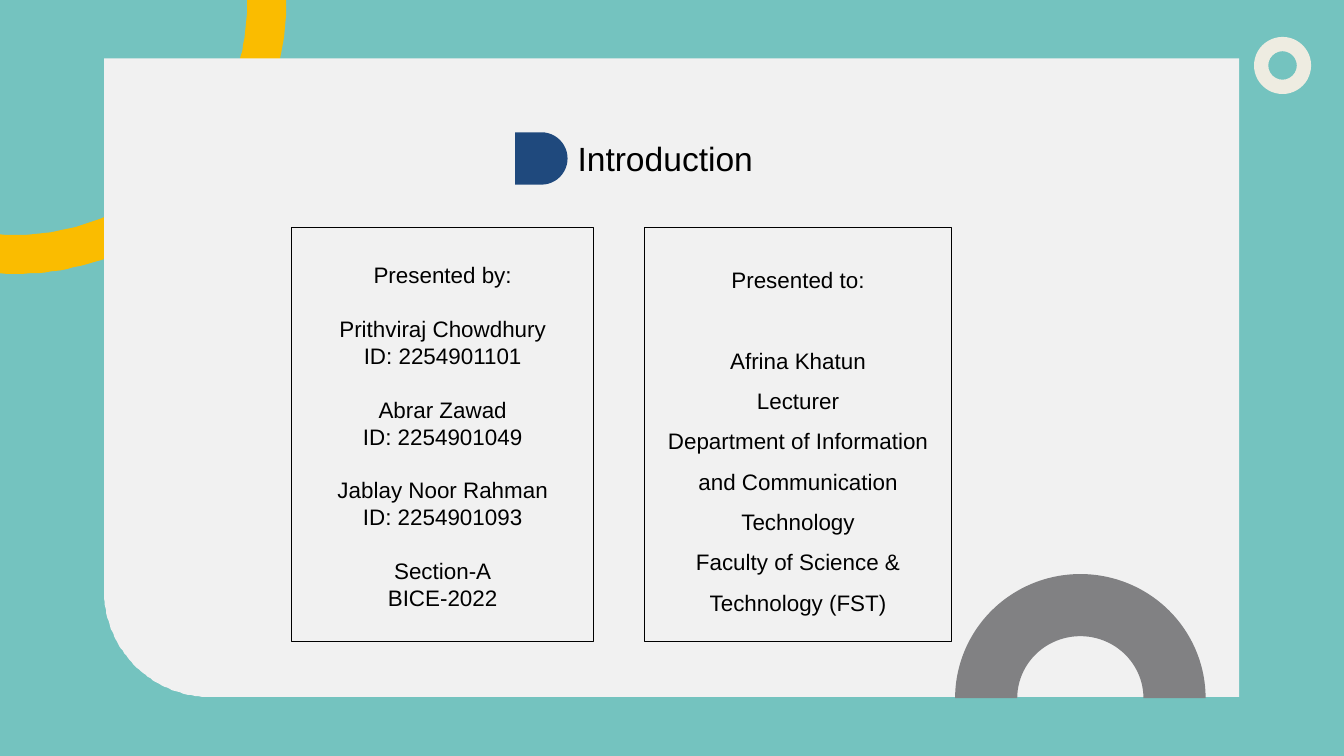
from math import acos, asin, cos, degrees, radians, sin

from pptx import Presentation
from pptx.dml.color import RGBColor
from pptx.enum.shapes import MSO_SHAPE
from pptx.enum.text import MSO_ANCHOR, MSO_AUTO_SIZE, PP_ALIGN
from pptx.util import Pt

TITLE = "Introduction"
PRESENTED_BY = [
    ["Presented by:"],
    ["Prithviraj Chowdhury", "ID: 2254901101"],
    ["Abrar Zawad", "ID: 2254901049"],
    ["Jablay Noor Rahman", "ID: 2254901093"],
    ["Section-A", "BICE-2022"],
]
PRESENTED_TO = [
    ["Presented to:"],
    [
        "Afrina Khatun",
        "Lecturer",
        "Department of Information and Communication Technology",
        "Faculty of Science & Technology (FST)",
    ],
]

PX = 9144
SLIDE_W, SLIDE_H = 2001, 1126
INSET = 10
PANEL_TOP, PANEL_H = 338, 618
PANELS = [
    (434, 450, PRESENTED_BY, 51, 1, 29),
    (959, 458, PRESENTED_TO, 59, 1.5, 43),
]
RING_X, RING_Y, RING_OUTER, RING_INNER = 22, 4, 404, 346
CARD_L, CARD_T, CARD_R, CARD_B, CARD_RADIUS = 155, 87, 1845, 1038, 158

FONT = "Arial"
TEAL = RGBColor(0x74, 0xC3, 0xBF)
YELLOW = RGBColor(0xFA, 0xBC, 0x00)
LIGHT = RGBColor(0xF1, 0xF1, 0xF1)
GRAY = RGBColor(0x81, 0x81, 0x83)
CREAM = RGBColor(0xEE, 0xEC, 0xE1)
NAVY = RGBColor(0x1F, 0x49, 0x7D)
BLACK = RGBColor(0, 0, 0)

RECT, DONUT = MSO_SHAPE.RECTANGLE, MSO_SHAPE.DONUT
ARCH, DELAY = MSO_SHAPE.BLOCK_ARC, MSO_SHAPE.FLOWCHART_DELAY
TOP, BOTTOM = MSO_ANCHOR.TOP, MSO_ANCHOR.BOTTOM
CENTER, NO_FIT = PP_ALIGN.CENTER, MSO_AUTO_SIZE.NONE


def paint(sp, color):
    sp.shadow.inherit = False
    sp.fill.solid()
    sp.fill.fore_color.rgb = color
    sp.line.fill.background()


def add_preset(slide, kind, box, color):
    sp = slide.shapes.add_shape(kind, *(v * PX for v in box))
    paint(sp, color)


def add_outline(slide, points, color):
    builder = slide.shapes.build_freeform(*points[0], scale=PX)
    builder.add_line_segments(points[1:], close=True)
    paint(builder.convert_to_shape(), color)


def arc(cx, cy, radius, start, end, steps=60):
    angles = [radians(start + (end - start) * i / steps) for i in range(steps + 1)]
    return [(cx + radius * cos(a), cy + radius * sin(a)) for a in angles]


def ring_edge(radius):
    start = -degrees(asin(RING_Y / radius))
    end = degrees(acos(-RING_X / radius))
    return arc(RING_X, RING_Y, radius, start, end)


def format_text(p, size):
    p.alignment = CENTER
    p.font.name = FONT
    p.font.size = Pt(size)
    p.font.color.rgb = BLACK


def set_insets(tf, top):
    tf.margin_left = tf.margin_right = tf.margin_bottom = INSET * PX
    tf.margin_top = top * PX


def add_title(slide):
    sp = slide.shapes.title
    slide.shapes.element.append(sp.element)
    sp.left, sp.top, sp.width, sp.height = (v * PX for v in (739, 197, 503, 78))
    tf = sp.text_frame
    tf.text = TITLE
    tf.auto_size = NO_FIT
    tf.vertical_anchor = BOTTOM
    set_insets(tf, INSET)
    format_text(tf.paragraphs[0], 36)


def add_panel(slide, left, width, groups, text_top, spacing, gap):
    box = (left, PANEL_TOP, width, PANEL_H)
    sp = slide.shapes.add_shape(RECT, *(v * PX for v in box))
    sp.shadow.inherit = False
    sp.fill.background()
    sp.line.color.rgb = BLACK
    sp.line.width = Pt(0.75)
    tf = sp.text_frame
    tf.word_wrap = True
    tf.vertical_anchor = TOP
    set_insets(tf, text_top)
    for g, lines in enumerate(groups):
        for i, line in enumerate(lines):
            p = tf.add_paragraph() if g else tf.paragraphs[0]
            p.text = line
            format_text(p, 24)
            if g:
                p.line_spacing = float(spacing)
                p.space_before = Pt(0 if i else gap)


def main():
    prs = Presentation()
    prs.slide_width, prs.slide_height = SLIDE_W * PX, SLIDE_H * PX
    slide = prs.slides.add_slide(prs.slide_layouts[5])
    slide.background.fill.solid()
    slide.background.fill.fore_color.rgb = TEAL

    add_outline(slide, ring_edge(RING_OUTER) + ring_edge(RING_INNER)[::-1], YELLOW)
    corner = arc(CARD_L + CARD_RADIUS, CARD_B - CARD_RADIUS, CARD_RADIUS, 90, 180)
    card = [(CARD_L, CARD_T), (CARD_R, CARD_T), (CARD_R, CARD_B)] + corner
    add_outline(slide, card, LIGHT)
    add_preset(slide, ARCH, (1422, 855, 373, 370), GRAY)

    add_title(slide)
    add_preset(slide, DONUT, (1867, 55, 85, 85), CREAM)
    add_preset(slide, DELAY, (767, 197, 78, 78), NAVY)
    for panel in PANELS:
        add_panel(slide, *panel)
    prs.save("out.pptx")


if __name__ == "__main__":
    main()
